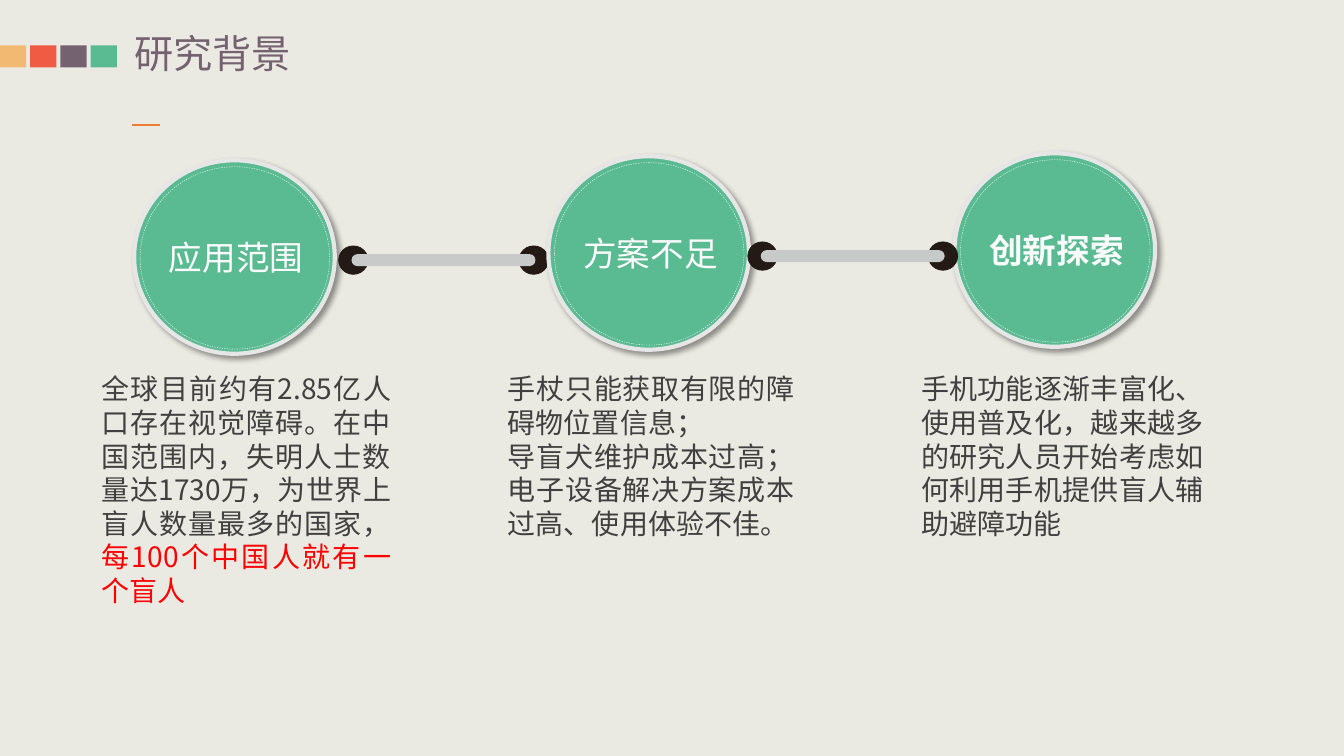
from lxml.etree import SubElement
from pptx import Presentation
from pptx.dml.color import RGBColor
from pptx.enum.dml import MSO_LINE
from pptx.enum.shapes import MSO_CONNECTOR, MSO_SHAPE
from pptx.enum.text import MSO_AUTO_SIZE, PP_ALIGN
from pptx.oxml.ns import qn
from pptx.util import Pt

FONT = "Noto Sans CJK SC"
GREEN, PURPLE, DARK, RED = "5ABB93", "756271", "404040", "FF0000"
SQUARES = ["F2B973", "EF5B43", PURPLE, GREEN]
RANGE_TEXT = [[
    ("全球目前约有2.85亿人口存在视觉障碍。在中国范围内，失明人士数量达1730万，为世界上盲人数量最多的国家，", DARK),
    ("每100个中国人就有一个盲人", RED),
]]
SHORTCOMING_TEXT = [
    [("手杖只能获取有限的障碍物位置信息；", DARK)],
    [("导盲犬维护成本过高；电子设备解决方案成本过高、使用体验不佳。", DARK)],
]
INNOVATION_TEXT = [[
    ("手机功能逐渐丰富化、使用普及化，越来越多的研究人员开始考虑如何利用手机提供盲人辅助避障功能", DARK),
]]


def color(value):
    return RGBColor.from_string(value)


class SlideBuilder:
    """Hold the style and the current slide, and draw each kind of element."""

    def __init__(self, slide):
        self.slide = slide
        slide.background.fill.solid()
        slide.background.fill.fore_color.rgb = color("EBEAE2")

    def shape(self, kind, left, top, width, height, fill=None, line=None, weight=0):
        shape = self.slide.shapes.add_shape(kind, Pt(left), Pt(top), Pt(width), Pt(height))
        shape.shadow.inherit = False
        if fill:
            shape.fill.solid()
            shape.fill.fore_color.rgb = color(fill)
        else:
            shape.fill.background()
        if line:
            shape.line.color.rgb = color(line)
            shape.line.width = Pt(weight)
        else:
            shape.line.fill.background()
        return shape

    def text(self, left, top, width, height, paragraphs, size, align=PP_ALIGN.LEFT,
             wrap=True, bold=False, margins=True):
        box = self.slide.shapes.add_textbox(Pt(left), Pt(top), Pt(width), Pt(height))
        frame = box.text_frame
        frame.word_wrap = wrap
        frame.auto_size = MSO_AUTO_SIZE.SHAPE_TO_FIT_TEXT
        if not margins:
            frame.margin_left = frame.margin_right = 0
            frame.margin_top = frame.margin_bottom = 0
        for index, pieces in enumerate(paragraphs):
            paragraph = frame.add_paragraph() if index else frame.paragraphs[0]
            paragraph.alignment = align
            for content, ink in pieces:
                run = paragraph.add_run()
                run.text = content
                run.font.name = FONT
                run.font.size = Pt(size)
                run.font.bold = bold
                run.font.color.rgb = color(ink)
                SubElement(run.font._element, qn("a:ea"), typeface=FONT)

    def line(self, left, top, right, ink, weight):
        connector = self.slide.shapes.add_connector(
            MSO_CONNECTOR.STRAIGHT, Pt(left), Pt(top), Pt(right), Pt(top))
        connector.line.color.rgb = color(ink)
        connector.line.width = Pt(weight)
        SubElement(connector._element.spPr, qn("a:effectLst"))

    def cast_shadow(self, shape):
        effects = shape._element.spPr.find(qn("a:effectLst"))
        shadow = SubElement(effects, qn("a:outerShdw"), blurRad=str(Pt(4)), dist=str(Pt(3)),
                            dir="2700000", algn="tl", rotWithShape="0")
        black = SubElement(shadow, qn("a:srgbClr"), val="000000")
        SubElement(black, qn("a:alpha"), val="40000")

    def topic(self, left, top, label, bold=False):
        disc = self.shape(MSO_SHAPE.OVAL, left, top, 143.3, 138.2, GREEN, "E7E6E6", 3)
        self.cast_shadow(disc)
        ring = self.shape(MSO_SHAPE.OVAL, left + 4.3, top + 4.6, 135.4, 130.3,
                          line="FEFEFE", weight=0.25)
        ring.line.dash_style = MSO_LINE.DASH
        self.text(left + 17.8, top + 51, 111.6, 36, [[(label, "FBFBFB")]], 24,
                  wrap=False, bold=bold)

    def link(self, left, top):
        for offset in (0, 128.9):
            self.shape(MSO_SHAPE.OVAL, left + offset, top, 20.9, 20.2, "231915", "231915", 0.63)
        bar = self.shape(MSO_SHAPE.ROUNDED_RECTANGLE, left + 9.2, top + 5.8, 131.4, 8.6, "C8C9C9")
        bar.adjustments[0] = 0.5


presentation = Presentation()
presentation.slide_width, presentation.slide_height = Pt(960), Pt(540)
builder = SlideBuilder(presentation.slides.add_slide(presentation.slide_layouts[6]))

for position, fill in enumerate(SQUARES):
    builder.shape(MSO_SHAPE.RECTANGLE, position * 21.6, 32.4, 18.7, 15.8, fill)
builder.text(95.8, 20.9, 287.3, 33.8, [[("研究背景", PURPLE)]], 28, margins=False)
builder.line(94.3, 89.3, 114.5, "ED7D31", 1.5)

builder.topic(95.8, 114.5, "应用范围")
builder.link(241.9, 175.7)
builder.topic(391.7, 111.6, "方案不足")
builder.topic(681.8, 109.5, "创新探索", bold=True)
builder.link(534.2, 172.8)

for left, width, height, paragraphs in [
    (65.5, 221, 177.1, RANGE_TEXT),
    (355.7, 218.9, 128.2, SHORTCOMING_TEXT),
    (650.9, 216, 128.2, INNOVATION_TEXT),
]:
    builder.text(left, 262.1, width, height, paragraphs, 20, PP_ALIGN.JUSTIFY)

presentation.save("out.pptx")
